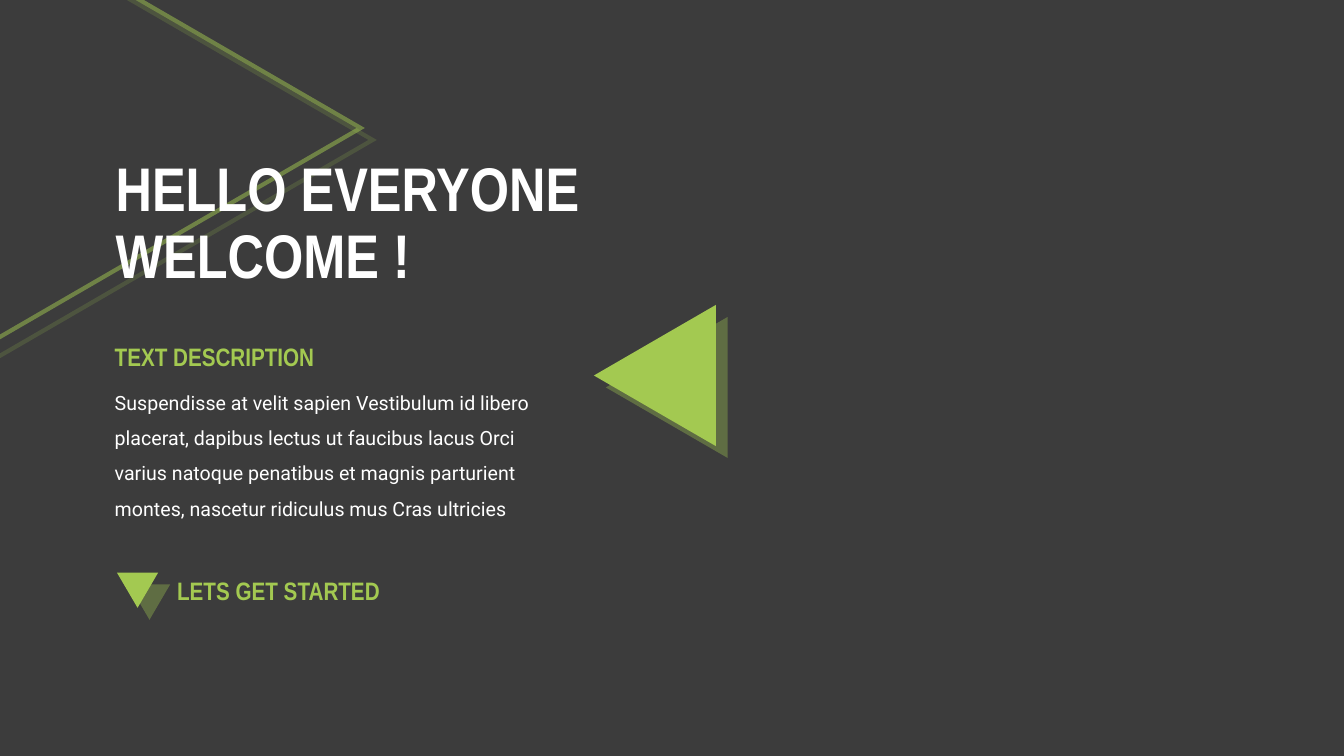
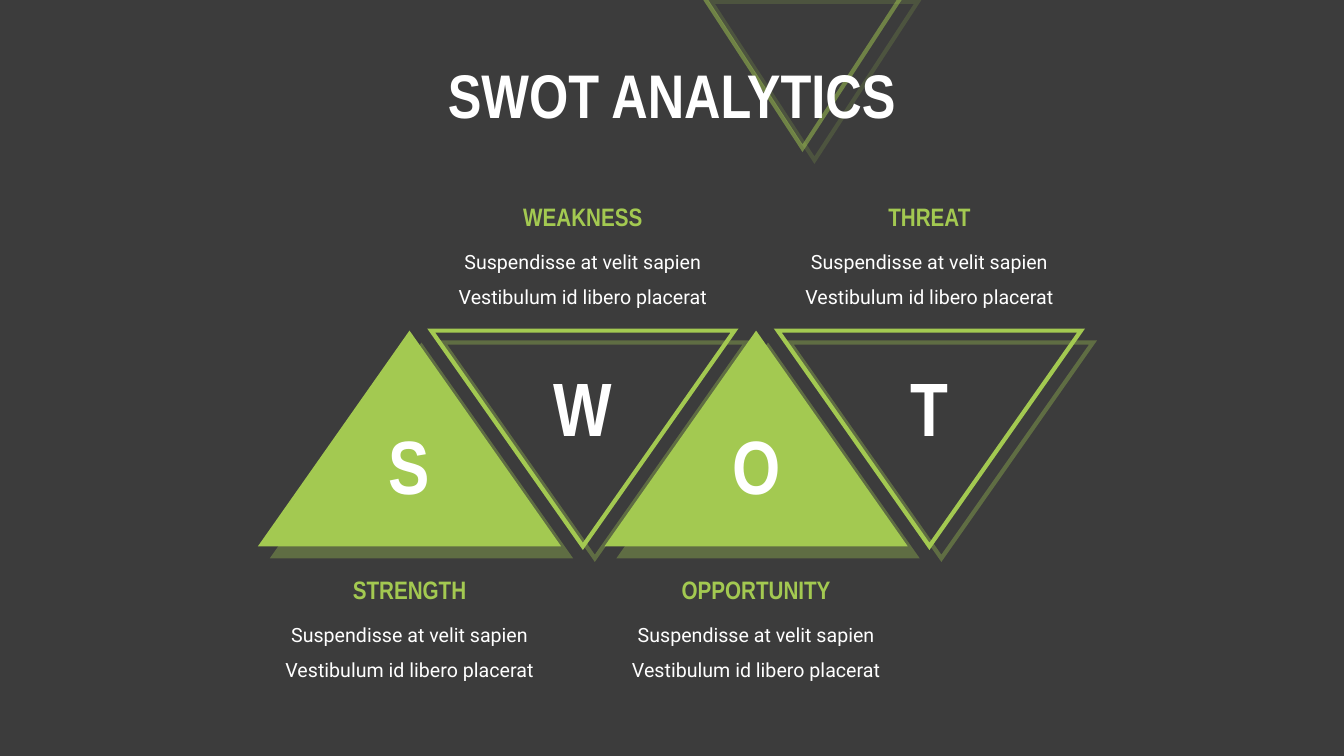
from collections import namedtuple
from dataclasses import dataclass

from lxml.etree import SubElement
from pptx import Presentation
from pptx.dml.color import RGBColor
from pptx.enum.shapes import MSO_SHAPE
from pptx.enum.text import MSO_ANCHOR, PP_ALIGN
from pptx.oxml.ns import qn
from pptx.util import Emu, Pt

PX = 9144
Box = namedtuple("Box", "x y w h")


@dataclass(frozen=True)
class Theme:
    back: str = "3C3C3C"
    accent: str = "A3C951"
    light: str = "FFFFFF"
    head_font: str = "Arial Narrow"
    body_font: str = "Roboto"
    title_size: int = 44
    letter_size: int = 54
    head_size: int = 18
    body_size: int = 14
    outline: int = 3
    faint: int = 50
    shadow_alpha: int = 35
    shadow_dist: float = 12.1
    shadow_angle: int = 45


T = Theme()
TITLE = dict(size=T.title_size, bold=True, anchor=MSO_ANCHOR.MIDDLE, spacing=0.9)
HEAD = dict(size=T.head_size, color=T.accent, bold=True)
BODY = dict(size=T.body_size, font=T.body_font, spacing=1.5)
LETTER = dict(size=T.letter_size, bold=True)


def rgb(color):
    return RGBColor.from_string(color)


def emu(box):
    return [Emu(round(v * PX)) for v in box]


def add_text(s, box, text, *, size, color=T.light, font=T.head_font, bold=False,
             align=PP_ALIGN.LEFT, anchor=MSO_ANCHOR.TOP, spacing=1.0):
    tf = s.shapes.add_textbox(*emu(box)).text_frame
    tf.word_wrap = True
    tf.vertical_anchor = anchor
    p = tf.paragraphs[0]
    p.text = text
    p.alignment = align
    p.line_spacing = spacing
    for r in p.runs:
        r.font.size = Pt(size)
        r.font.name = font
        r.font.bold = bold
        r.font.color.rgb = rgb(color)


def add_alpha(color, percent):
    SubElement(color, qn("a:alpha"), val=str(percent * 1000))


def add_shadow(sp):
    sp.shadow.inherit = False
    effects = sp._element.spPr.find(qn("a:effectLst"))
    shadow = SubElement(effects, qn("a:outerShdw"), blurRad="0",
                        dist=str(Pt(T.shadow_dist)), dir=str(T.shadow_angle * 60000),
                        algn="tl", rotWithShape="0")
    add_alpha(SubElement(shadow, qn("a:srgbClr"), val=T.accent), T.shadow_alpha)


def add_triangle(s, box, *, rotation=0, filled=True, alpha=100):
    sp = s.shapes.add_shape(MSO_SHAPE.ISOSCELES_TRIANGLE, *emu(box))
    sp.rotation = rotation
    if filled:
        sp.fill.solid()
        sp.fill.fore_color.rgb = rgb(T.accent)
        sp.line.fill.background()
    else:
        sp.fill.background()
        sp.line.color.rgb = rgb(T.accent)
        sp.line.width = Pt(T.outline)
        ln = sp._element.spPr.find(qn("a:ln"))
        SubElement(ln, qn("a:miter"), lim="800000")
        if alpha < 100:
            add_alpha(ln.find(".//" + qn("a:srgbClr")), alpha)
    add_shadow(sp)


def new_slide(prs, title, box, align, decor, rotation):
    s = prs.slides.add_slide(prs.slide_layouts[6])
    s.background.fill.solid()
    s.background.fill.fore_color.rgb = rgb(T.back)
    add_triangle(s, decor, rotation=rotation, filled=False, alpha=T.faint)
    add_text(s, box, title, align=align, **TITLE)
    return s


def description(s, box, heading, text):
    add_text(s, Box(box.x, box.y, 245, 40), heading, **HEAD)
    add_text(s, Box(box.x, box.y + 37, box.w, box.h - 37), text, **BODY)


def call_to_action(s, box, text):
    add_triangle(s, Box(box.x, box.y + 2, 41, 35), rotation=180)
    add_text(s, Box(box.x + 50, box.y, box.w - 50, box.h), text, **HEAD)


def swot_part(s, box, letter, heading, text, inverted):
    letter_dy, heading_dy = (25, -133) if inverted else (83, box.h + 23)
    add_triangle(s, box, rotation=180 if inverted else 0, filled=not inverted)
    for content, dy, w, h, style in (
        (letter, letter_dy, 101, 100, LETTER),
        (heading, heading_dy, 245, 40, HEAD),
        (text, heading_dy + 36, 298, 80, BODY),
    ):
        place = Box(box.x + (box.w - w) / 2, box.y + dy, w, h)
        add_text(s, place, content, align=PP_ALIGN.CENTER, **style)


def swot_row(s, box, parts, text):
    w = 301
    step = (box.w - w) / (len(parts) - 1)
    for i, (letter, heading) in enumerate(parts):
        part_box = Box(box.x + i * step, box.y, w, box.h)
        swot_part(s, part_box, letter, heading, text, inverted=i % 2 == 1)


def welcome_slide(prs):
    s = new_slide(prs, "HELLO EVERYONE\vWELCOME !", Box(105, 144, 750, 158),
                  PP_ALIGN.LEFT, Box(-52, -63, 440, 380), 90)
    add_triangle(s, Box(580, 312, 140, 121), rotation=270)
    description(s, Box(104, 334, 451, 187), "TEXT DESCRIPTION",
                "Suspendisse at velit sapien Vestibulum id libero placerat, "
                "dapibus lectus ut faucibus lacus Orci varius natoque penatibus "
                "et magnis parturient montes, nascetur ridiculus mus Cras ultricies")
    call_to_action(s, Box(116, 566, 295, 40), "LETS GET STARTED")


def swot_slide(prs):
    s = new_slide(prs, "SWOT ANALYTICS", Box(327, 49, 680, 98),
                  PP_ALIGN.CENTER, Box(694, -10, 205, 157), 180)
    parts = [("S", "STRENGTH"), ("W", "WEAKNESS"), ("O", "OPPORTUNITY"), ("T", "THREAT")]
    swot_row(s, Box(256, 328, 817, 214), parts,
             "Suspendisse at velit sapien Vestibulum id libero placerat")


def main():
    prs = Presentation()
    prs.slide_width, prs.slide_height = emu((1334, 750))
    welcome_slide(prs)
    swot_slide(prs)
    prs.save("out.pptx")


if __name__ == "__main__":
    main()
